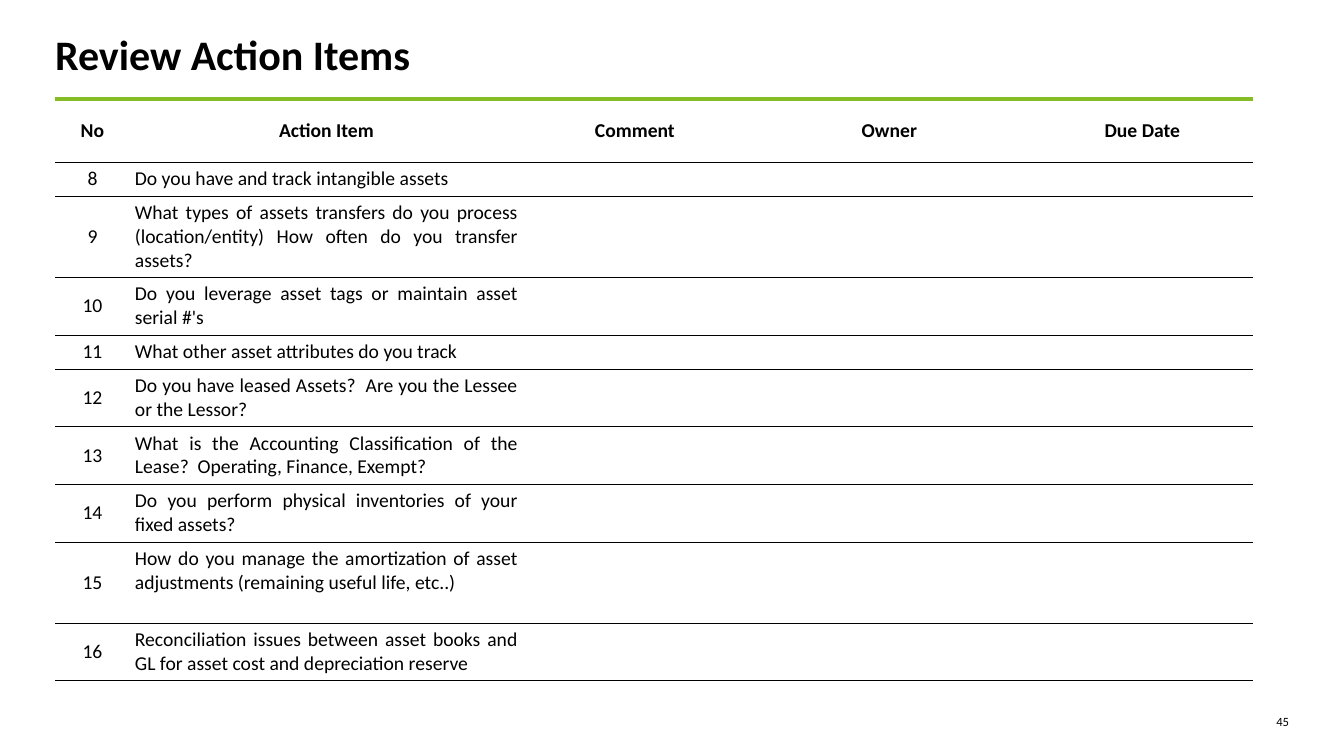
import pptx
import pptx.util
import pptx.dml.color
import pptx.enum.text
from lxml import etree

PX = 914400 / 100.8
BLACK = pptx.dml.color.RGBColor(0x00, 0x00, 0x00)
GREEN = pptx.dml.color.RGBColor(0x86, 0xBC, 0x25)
A = "{http://schemas.openxmlformats.org/drawingml/2006/main}"
ALIGN = pptx.enum.text.PP_ALIGN
ANCHOR = pptx.enum.text.MSO_ANCHOR


def px(n):
    return pptx.util.Emu(round(n * PX))


def add_run(p, text, size, bold=False):
    r = p.add_run()
    r.text = text
    r.font.name = "Calibri"
    r.font.size = pptx.util.Pt(size)
    r.font.bold = bold
    r.font.color.rgb = BLACK


prs = pptx.Presentation()
prs.slide_width, prs.slide_height = px(1344), px(756)
s = prs.slides.add_slide(prs.slide_layouts[5])

# Title
title = s.shapes.title
title.left, title.top, title.width, title.height = px(55), px(35), px(1234), px(37)
tf = title.text_frame
tf.margin_left = tf.margin_right = tf.margin_top = tf.margin_bottom = 0
tf.auto_size = pptx.enum.text.MSO_AUTO_SIZE.NONE
tf.vertical_anchor = ANCHOR.MIDDLE
tf.paragraphs[0].alignment = ALIGN.LEFT
add_run(tf.paragraphs[0], "Review Action Items", 30, True)

# Action item table
headers = ["No", "Action Item", "Comment", "Owner", "Due Date"]
items = [
    "Do you have and track intangible assets",
    "What types of assets transfers do you process (location/entity) How often do you transfer assets?",
    "Do you leverage asset tags or maintain asset serial #'s",
    "What other asset attributes do you track",
    "Do you have leased Assets?  Are you the Lessee or the Lessor?",
    "What is the Accounting Classification of the Lease?  Operating, Finance, Exempt?",
    "Do you perform physical inventories of your fixed assets?",
    "How do you manage the amortization of asset adjustments (remaining useful life, etc..)",
    "Reconciliation issues between asset books and GL for asset cost and depreciation reserve",
]
rows = [headers] + [[str(n), item, "", "", ""] for n, item in enumerate(items, 8)]
col_widths = [75, 393, 224, 285, 221]
row_heights = [63, 33, 81, 57, 33, 57, 57, 57, 81, 57]

table = s.shapes.add_table(len(rows), len(headers), px(55), px(99),
                           px(sum(col_widths)), px(sum(row_heights))).table
table.first_row = table.horz_banding = False
for col, width in zip(table.columns, col_widths):
    col.width = px(width)
for row, height in zip(table.rows, row_heights):
    row.height = px(height)

for i, row in enumerate(rows):
    for j, text in enumerate(row):
        cell = table.cell(i, j)
        cell.margin_left = cell.margin_right = px(5)
        cell.margin_top = cell.margin_bottom = px(5)
        p = cell.text_frame.paragraphs[0]
        if i == 0 or j == 0:
            cell.vertical_anchor = ANCHOR.MIDDLE
            p.alignment = ALIGN.CENTER
        else:
            p.alignment = ALIGN.JUSTIFY
        if text:
            add_run(p, text, 14, bold=i == 0)
        else:
            etree.SubElement(p._p, A + "endParaRPr", sz="1400")

        # Horizontal rules only, with a green one on top
        top = (GREEN, 3) if i == 0 else (BLACK, 0.25)
        tcPr = cell._tc.get_or_add_tcPr()
        for side, rule in [("L", None), ("R", None), ("T", top), ("B", (BLACK, 0.25))]:
            ln = etree.SubElement(tcPr, A + "ln" + side)
            if rule:
                ln.set("w", str(pptx.util.Pt(rule[1])))
                fill = etree.SubElement(ln, A + "solidFill")
                etree.SubElement(fill, A + "srgbClr", val=str(rule[0]))
            else:
                etree.SubElement(ln, A + "noFill")
        cell.fill.background()

# Slide number
tf = s.shapes.add_textbox(px(1255), px(714), px(34), px(15)).text_frame
tf.margin_left = tf.margin_right = tf.margin_top = tf.margin_bottom = 0
tf.word_wrap = True
tf.paragraphs[0].alignment = ALIGN.RIGHT
add_run(tf.paragraphs[0], "45", 9)

prs.save("out.pptx")
